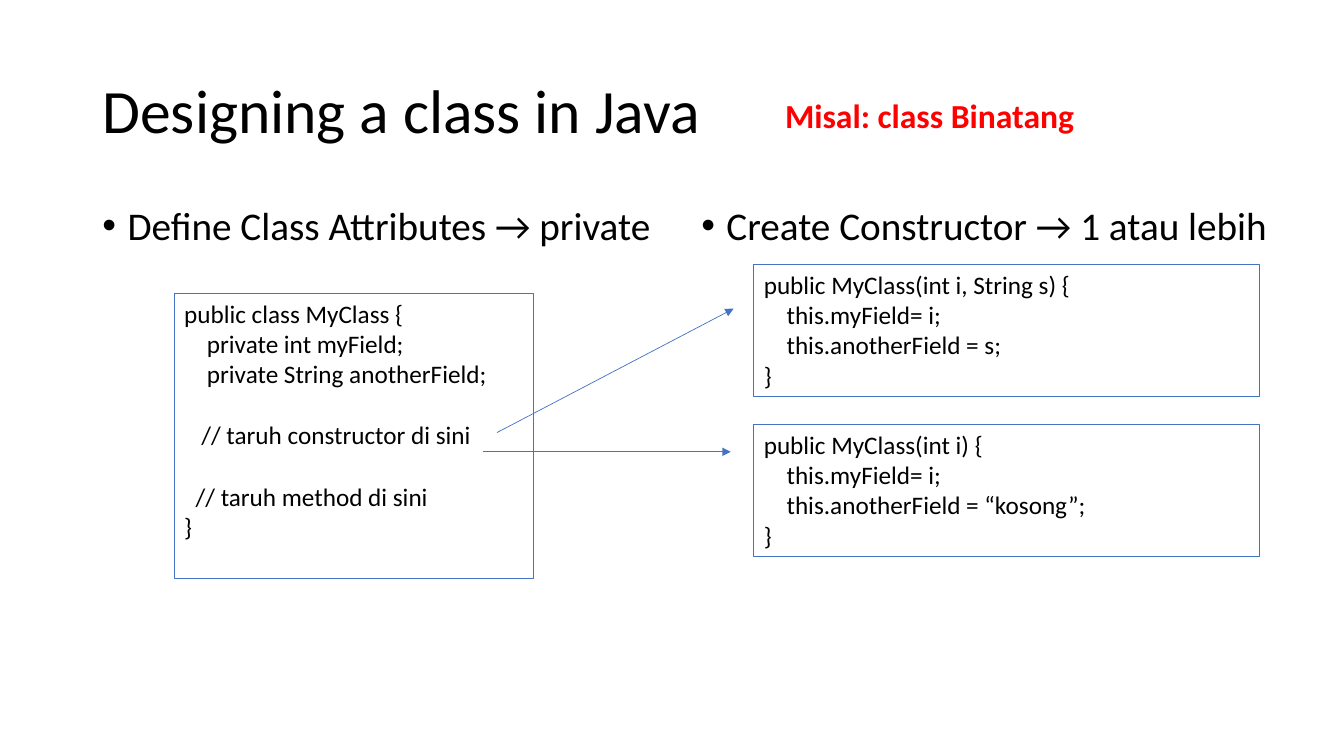
from lxml.etree import SubElement
from pptx import Presentation
from pptx.dml.color import RGBColor
from pptx.enum.shapes import MSO_CONNECTOR
from pptx.enum.text import MSO_ANCHOR as ANCHOR, MSO_AUTO_SIZE as AUTO, PP_ALIGN as ALIGN
from pptx.oxml.ns import qn
from pptx.util import Pt

BLACK = RGBColor(0x00, 0x00, 0x00)
RED = RGBColor(0xFF, 0x00, 0x00)
BLUE = RGBColor(0x44, 0x72, 0xC4)
FONT = "Calibri"
CODE_SIZE = 18
CODE_LINE = 22
SPACE_WIDTH = 4.07

TITLE = ("Designing a class in Java", (66, 28.75, 828, 104.4))
NOTE = ("Misal: class Binatang", (553.7, 64, 296, 36))
BULLETS = [
    ("Define Class Attributes → private", (66, 144, 414, 342.6)),
    ("Create Constructor → 1 atau lebih", (493.7, 144, 437, 342.6)),
]
# Each code line: text, indent in characters, empty lines above
CODE_BOXES = [
    ((124.5, 209.5, 256.5, 203.5), [
        ("public class MyClass {", 0, 0),
        ("private int myField;", 4, 0),
        ("private String anotherField;", 4, 0),
        ("// taruh constructor di sini", 3, 1),
        ("// taruh method di sini", 2, 1),
        ("}", 0, 0),
    ]),
    ((538.5, 188.75, 361.5, 94.5), [
        ("public MyClass(int i, String s) {", 0, 0),
        ("this.myField= i;", 4, 0),
        ("this.anotherField = s;", 4, 0),
        ("}", 0, 0),
    ]),
    ((538.5, 303, 361.5, 94.5), [
        ("public MyClass(int i) {", 0, 0),
        ("this.myField= i;", 4, 0),
        ("this.anotherField = “kosong”;", 4, 0),
        ("}", 0, 0),
    ]),
]
ARROWS = [(355, 309, 524, 220.5), (345, 322.75, 522, 322.75)]


def add_run(p, text, size, color=BLACK, bold=False):
    r = p.add_run()
    r.text = text
    r.font.name = FONT
    r.font.size = Pt(size)
    r.font.bold = bold
    r.font.color.rgb = color


def set_indent(p, left, first=0):
    pPr = p._p.get_or_add_pPr()
    pPr.set("marL", str(Pt(left)))
    pPr.set("indent", str(Pt(first)))


def fill_placeholder(sp, text, box, size, anchor):
    sp.left, sp.top, sp.width, sp.height = map(Pt, box)
    tf = sp.text_frame
    tf.auto_size = AUTO.NONE
    tf.vertical_anchor = anchor
    p = tf.paragraphs[0]
    p.alignment = ALIGN.LEFT
    p.line_spacing = 0.9
    add_run(p, text, size)
    return p


def add_code_box(s, box, lines):
    sp = s.shapes.add_textbox(*map(Pt, box))
    sp.line.color.rgb = BLUE
    sp.line.width = Pt(0.75)
    tf = sp.text_frame
    tf.word_wrap = True
    for i, (text, indent, gap) in enumerate(lines):
        p = tf.add_paragraph() if i else tf.paragraphs[0]
        p.space_before = Pt(gap * CODE_LINE)
        set_indent(p, indent * SPACE_WIDTH)
        add_run(p, text, CODE_SIZE)


def add_arrow(s, ends):
    cx = s.shapes.add_connector(MSO_CONNECTOR.STRAIGHT, *map(Pt, ends))
    cx.line.color.rgb = BLUE
    cx.line.width = Pt(0.5)
    SubElement(cx.line._get_or_add_ln(), qn("a:tailEnd"), type="triangle")
    SubElement(cx._element.spPr, qn("a:effectLst"))


def main():
    prs = Presentation()
    prs.slide_width, prs.slide_height = Pt(960), Pt(540)
    s = prs.slides.add_slide(prs.slide_layouts[3])

    fill_placeholder(s.shapes.title, *TITLE, 44, ANCHOR.MIDDLE)
    for idx, (text, box) in enumerate(BULLETS, 1):
        p = fill_placeholder(s.placeholders[idx], text, box, 28, ANCHOR.TOP)
        p.space_before = Pt(10)
        set_indent(p, 18, -18)
        SubElement(p._p.get_or_add_pPr(), qn("a:buChar"), char="•")

    for box, lines in CODE_BOXES:
        add_code_box(s, box, lines)
    for ends in ARROWS:
        add_arrow(s, ends)

    text, box = NOTE
    tf = s.shapes.add_textbox(*map(Pt, box)).text_frame
    tf.word_wrap = True
    add_run(tf.paragraphs[0], text, 24, RED, True)

    prs.save("out.pptx")


if __name__ == "__main__":
    main()
